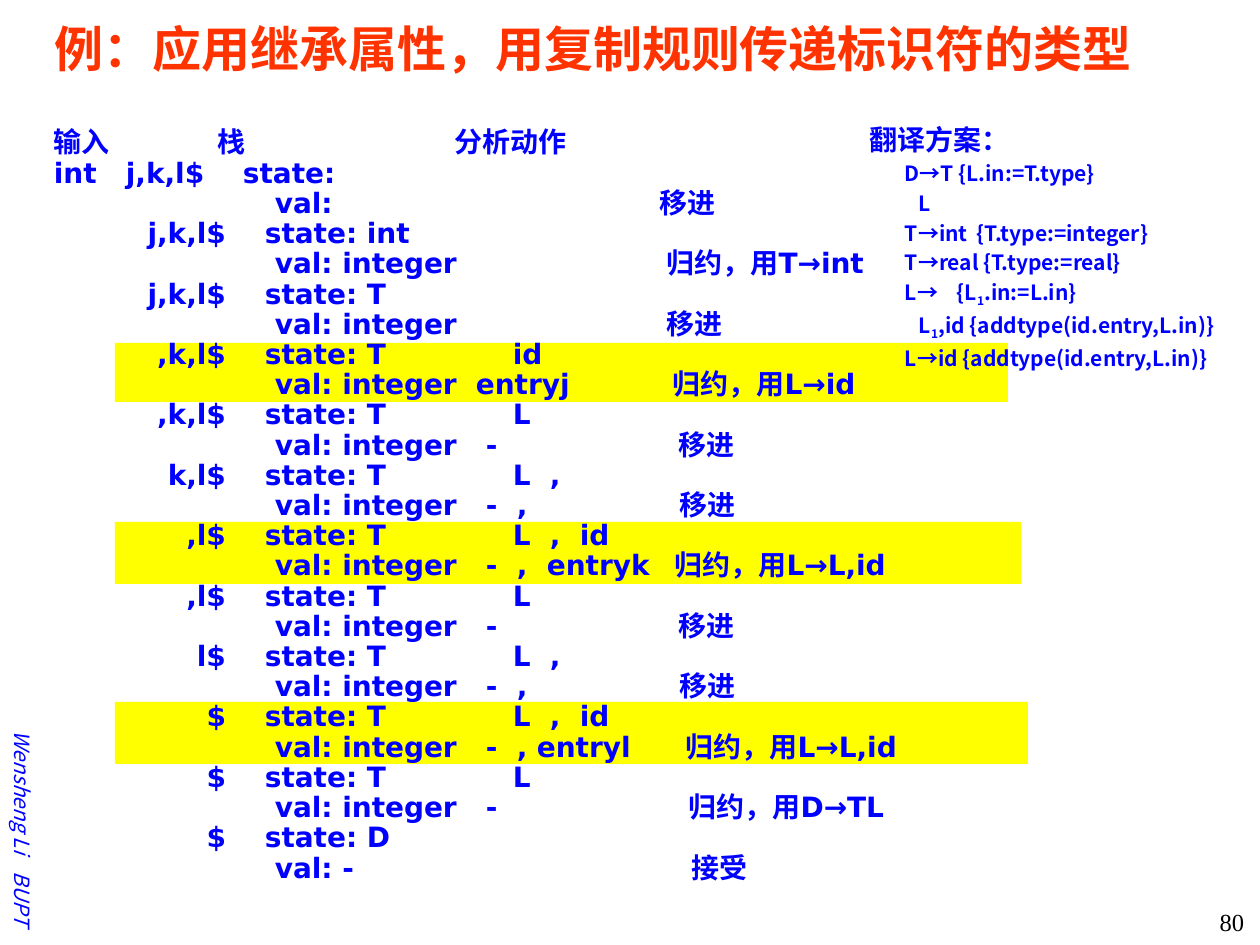
from dataclasses import dataclass

from lxml import etree
from pptx import Presentation
from pptx import util as u
from pptx.dml import color
from pptx.enum import shapes, text
from pptx.oxml import ns

SCALE = u.Inches(1) / 126
INSET_X, INSET_Y = 13, 6
COLORS = {"title": "FF3300", "body": "0000FF", "page": "000000", "mark": "FFFF00"}
CJK = "Noto Sans CJK SC"
SUBSCRIPT = "₁"


@dataclass(frozen=True)
class Box:
    x: int
    y: int
    w: int
    h: int


@dataclass(frozen=True)
class Style:
    color: str
    font: dict
    paragraph: dict


@dataclass(frozen=True)
class Cell:
    label: str
    x: int | None = None
    align: str = "l"


@dataclass(frozen=True)
class Line:
    cells: tuple[Cell, ...]
    style: Style


@dataclass(frozen=True)
class Step:
    remaining: str
    state: str
    symbols: tuple[str, ...]
    value: str
    values: tuple[Cell, ...]
    action: str
    action_x: int


def px(length: float) -> u.Emu:
    return u.Emu(round(length * SCALE))


def apply(target, values: dict) -> None:
    for name, value in values.items():
        setattr(target, name, value)


def add_run(paragraph, label: str, style: Style, subscript: bool = False) -> None:
    run = paragraph.add_run()
    run.text = label
    apply(run.font, style.font)
    run.font.color.rgb = color.RGBColor.from_string(COLORS[style.color])
    properties = run.font._element
    etree.SubElement(properties, ns.qn("a:ea"), typeface=CJK)
    if subscript:
        properties.set("baseline", "-25000")


def write_line(paragraph, line: Line, origin: int) -> None:
    stops = [cell for cell in line.cells if cell.x is not None]
    if stops:
        tabs = etree.SubElement(paragraph._p.get_or_add_pPr(), ns.qn("a:tabLst"))
        for cell in stops:
            etree.SubElement(tabs, ns.qn("a:tab"), pos=str(px(cell.x - origin)), algn=cell.align)
    apply(paragraph, line.style.paragraph)
    for cell in line.cells:
        tab = "" if cell.x is None else "\t"
        for index, part in enumerate((tab + cell.label).split(SUBSCRIPT)):
            if index:
                add_run(paragraph, "1", line.style, subscript=True)
                paragraph.space_before = u.Pt(1.75)
            if part:
                add_run(paragraph, part, line.style)


def add_text(slide, box: Box, lines: list[Line], anchor=text.MSO_ANCHOR.TOP, rotation: int = 0) -> None:
    holder = slide.shapes.add_textbox(px(box.x), px(box.y), px(box.w), px(box.h))
    holder.rotation = rotation
    frame = holder.text_frame
    apply(frame, {
        "word_wrap": True,
        "vertical_anchor": anchor,
        "margin_left": px(INSET_X),
        "margin_right": px(INSET_X),
        "margin_top": px(INSET_Y),
        "margin_bottom": px(INSET_Y),
    })
    for index, line in enumerate(lines):
        paragraph = frame.add_paragraph() if index else frame.paragraphs[0]
        write_line(paragraph, line, box.x + INSET_X)


def add_highlight(slide, box: Box) -> None:
    band = slide.shapes.add_shape(shapes.MSO_SHAPE.RECTANGLE, px(box.x), px(box.y), px(box.w), px(box.h))
    band.shadow.inherit = False
    band.fill.solid()
    band.fill.fore_color.rgb = color.RGBColor.from_string(COLORS["mark"])
    band.line.fill.background()


TITLE = Style("title", {"name": CJK, "size": u.Pt(28), "bold": True}, {})
AUTHOR = Style("body", {"name": CJK, "size": u.Pt(12), "italic": True}, {})
PAGE = Style("page", {"name": "Times New Roman", "size": u.Pt(14)}, {"alignment": text.PP_ALIGN.RIGHT})
TRACE = Style("body", {"name": "DejaVu Sans", "size": u.Pt(16), "bold": True}, {"line_spacing": u.Pt(17.25)})
SCHEME = Style("body", {"name": CJK, "size": u.Pt(16), "bold": True}, {"line_spacing": u.Pt(19.5)})
RULE = Style("body", {"name": CJK, "size": u.Pt(12), "bold": True}, {"line_spacing": u.Pt(17)})

SYMBOL_XS = (513, 550, 580)
DASH, COMMA = Cell("-", 486), Cell(",", 517)
STEPS = [
    Step("j,k,l$", "int", (), "integer", (), "归约，用T→int", 667),
    Step("j,k,l$", "T", (), "integer", (), "移进", 667),
    Step(",k,l$", "T", ("id",), "integer", (Cell("entryj", 476),), "归约，用L→id", 673),
    Step(",k,l$", "T", ("L",), "integer", (DASH,), "移进", 679),
    Step("k,l$", "T", ("L", ","), "integer", (DASH, COMMA), "移进", 680),
    Step(",l$", "T", ("L", ",", "id"), "integer", (DASH, COMMA, Cell("entryk", 547)), "归约，用L→L,id", 675),
    Step(",l$", "T", ("L",), "integer", (DASH,), "移进", 679),
    Step("l$", "T", ("L", ","), "integer", (DASH, COMMA), "移进", 680),
    Step("$", "T", ("L", ",", "id"), "integer", (DASH, COMMA, Cell("entryl", 537)), "归约，用L→L,id", 686),
    Step("$", "T", ("L",), "integer", (DASH,), "归约，用D→TL", 689),
    Step("$", "D", (), "-", (), "接受", 692),
]
RULES = [
    (Cell("D→T {L.in:=T.type}", 905),),
    (Cell("L", 919),),
    (Cell("T→int", 905), Cell("{T.type:=integer}", 977)),
    (Cell("T→real {T.type:=real}", 905),),
    (Cell("L→", 905), Cell("{L₁.in:=L.in}", 957)),
    (Cell("L₁,id {addtype(id.entry,L.in)}", 919),),
    (Cell("L→id {addtype(id.entry,L.in)}", 905),),
]
HIGHLIGHTS = [Box(115, 702, 913, 62), Box(115, 522, 906, 62), Box(115, 343, 893, 59)]


def step_lines(step: Step) -> list[Line]:
    symbols = tuple(Cell(symbol, x) for symbol, x in zip(step.symbols, SYMBOL_XS))
    states = (Cell(step.remaining, 226, "r"), Cell(f"state: {step.state}", 265), *symbols)
    values = (Cell(f"val: {step.value}", 275), *step.values, Cell(step.action, step.action_x))
    return [Line(states, TRACE), Line(values, TRACE)]


def main() -> None:
    deck = Presentation()
    deck.slide_width, deck.slide_height = px(1260), px(945)
    slide = deck.slides.add_slide(deck.slide_layouts[6])
    middle = text.MSO_ANCHOR.MIDDLE

    author = (Cell("Wensheng Li", -22), Cell("BUPT", 119))
    add_text(slide, Box(-144, 756, 333, 38), [Line(author, AUTHOR)], middle, 90)
    add_text(slide, Box(1139, 901, 118, 38), [Line((Cell("80"),), PAGE)])
    for box in HIGHLIGHTS:
        add_highlight(slide, box)

    title = Cell("例：应用继承属性，用复制规则传递标识符的类型")
    add_text(slide, Box(42, 21, 1187, 54), [Line((title,), TITLE)], middle)

    trace = [
        Line((Cell("输入", 54), Cell("栈", 218), Cell("分析动作", 455)), TRACE),
        Line((Cell("int", 54), Cell("j,k,l$", 126), Cell("state:", 243)), TRACE),
        Line((Cell("val:", 275), Cell("移进", 660)), TRACE),
    ]
    for step in STEPS:
        trace += step_lines(step)
    add_text(slide, Box(23, 118, 1007, 776), trace, middle)

    scheme = [Line((Cell("翻译方案：", 870),), SCHEME)]
    scheme += [Line(rule, RULE) for rule in RULES]
    add_text(slide, Box(829, 116, 431, 273), scheme)
    deck.save("out.pptx")


if __name__ == "__main__":
    main()
